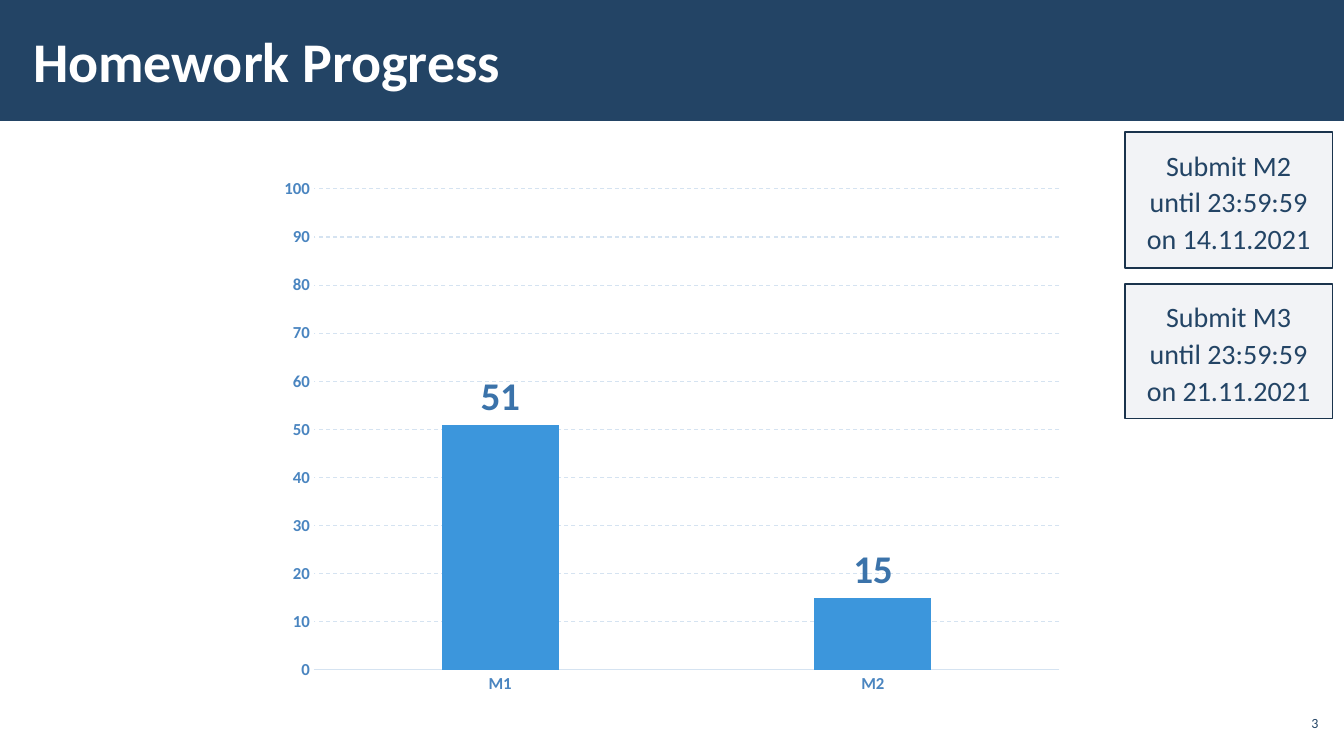
from lxml import etree
from pptx import Presentation
from pptx.chart.data import CategoryChartData
from pptx.dml.color import RGBColor
from pptx.enum import chart as kinds, dml, shapes, text
from pptx.oxml import ns, xmlchemy as xml
from pptx.util import Pt

COLORS = {
    "white": "FFFFFF", "navy": "234465", "edge": "1A334C", "note": "ADB4C3",
    "bar": "3C96DC", "line": "90C1FA", "value": "3B73AA", "axis": "4A85C0",
    "grid": "D5E3F1",
}


def style(font, color, **form):
    font.name = "Calibri"
    font.color.rgb = RGBColor.from_string(COLORS[color])
    for key, val in form.items():
        setattr(font, key, val)


def paint(fill, color):
    fill.solid()
    fill.fore_color.rgb = RGBColor.from_string(COLORS[color])


deck = Presentation()
deck.slide_width, deck.slide_height = Pt(960), Pt(540)
slide = deck.slides.add_slide(deck.slide_layouts[6])

# Header band
band = slide.shapes.add_shape(shapes.MSO_SHAPE.RECTANGLE, 0, 0, Pt(960), Pt(86.4))
band.shadow.inherit = False
paint(band.fill, "navy")
band.line.fill.background()

# Title and page number
labels = [
    ("Homework Progress", (15, 8, 765, 70), (8.64, 2.88), "LEFT", "white", 40, True),
    ("3", (911, 504, 33.6, 24.5), (2.88, 2.88), "RIGHT", "navy", 10, False),
]
for words, place, (side, edge), align, color, size, bold in labels:
    frame = slide.shapes.add_textbox(*map(Pt, place)).text_frame
    form = {
        "word_wrap": True, "vertical_anchor": text.MSO_ANCHOR.MIDDLE,
        "margin_left": Pt(side), "margin_right": Pt(side),
        "margin_top": Pt(edge), "margin_bottom": Pt(edge),
    }
    for key, val in form.items():
        setattr(frame, key, val)
    para = frame.paragraphs[0]
    para.text, para.alignment = words, text.PP_ALIGN[align]
    style(para.font, color, size=Pt(size), bold=bold)

# Progress chart
data = CategoryChartData()
data.categories = ["M1", "M2"]
data.add_series("Series 1", (51, 15))
data.add_series("Series 2", (1, None))
chart = slide.shapes.add_chart(
    kinds.XL_CHART_TYPE.COLUMN_CLUSTERED, Pt(191.5), Pt(120.2), Pt(576.7), Pt(383), data
).chart
chart.has_legend = chart.has_title = False
style(chart.font, "navy", size=Pt(10))

plot = chart.plots[0]
plot.gap_width, plot.vary_by_categories = 219, False
bars, trend = plot.series
paint(bars.format.fill, "bar")
tags = bars.data_labels
tags.show_value = True
tags.position = kinds.XL_LABEL_POSITION.OUTSIDE_END
style(tags.font, "value", size=Pt(28), bold=True)

for axis in (chart.category_axis, chart.value_axis):
    axis.major_tick_mark = axis.minor_tick_mark = kinds.XL_TICK_MARK.NONE
    style(axis.tick_labels.font, "axis", size=Pt(12), bold=True)

scale = chart.value_axis
scale.minimum_scale, scale.maximum_scale, scale.major_unit = 0, 100, 10
scale.format.line.fill.background()
scale.has_major_gridlines = True
for line in (chart.category_axis.format.line, scale.major_gridlines.format.line):
    paint(line.fill, "grid")
    line.width = Pt(0.75)
line.dash_style = dml.MSO_LINE.DASH

# The second series is a line on the same axes
group = xml.OxmlElement("c:lineChart")
etree.SubElement(group, ns.qn("c:grouping")).set("val", "standard")
etree.SubElement(group, ns.qn("c:varyColors")).set("val", "0")
base = bars._element.getparent()
node = trend._element
for flag in node.findall(ns.qn("c:invertIfNegative")):
    node.remove(flag)
group.append(node)
etree.SubElement(group, ns.qn("c:marker")).set("val", "1")
for ident in base.findall(ns.qn("c:axId")):
    etree.SubElement(group, ns.qn("c:axId")).set("val", ident.get("val"))
base.addnext(group)
curve = chart.plots[1].series[0]
curve.smooth = False
curve.marker.style = kinds.XL_MARKER_STYLE.NONE
paint(curve.format.line.fill, "line")
curve.format.line.width = Pt(2.25)

# Deadline notes
notes = [("M2", "14.11.2021", 94.3, 97.2), ("M3", "21.11.2021", 203, 95.8)]
for task, day, top, high in notes:
    note = slide.shapes.add_shape(
        shapes.MSO_SHAPE.RECTANGLE, Pt(803.5), Pt(top), Pt(148.3), Pt(high)
    )
    note.shadow.inherit = False
    paint(note.fill, "note")
    shade = note._element.spPr.find(".//" + ns.qn("a:srgbClr"))
    etree.SubElement(shade, ns.qn("a:alpha")).set("val", "15000")
    paint(note.line.fill, "edge")
    note.line.width = Pt(1)
    frame = note.text_frame
    form = {
        "word_wrap": True, "auto_size": text.MSO_AUTO_SIZE.SHAPE_TO_FIT_TEXT,
        "vertical_anchor": text.MSO_ANCHOR.MIDDLE,
        "margin_left": Pt(11.5), "margin_right": Pt(11.5),
        "margin_top": Pt(8.64), "margin_bottom": Pt(8.64),
    }
    for key, val in form.items():
        setattr(frame, key, val)
    para = frame.paragraphs[0]
    para.text = f"Submit {task} until 23:59:59 on {day}"
    para.alignment, para.line_spacing = text.PP_ALIGN.CENTER, 1.1
    style(para.font, "navy", size=Pt(20))

deck.save("out.pptx")
